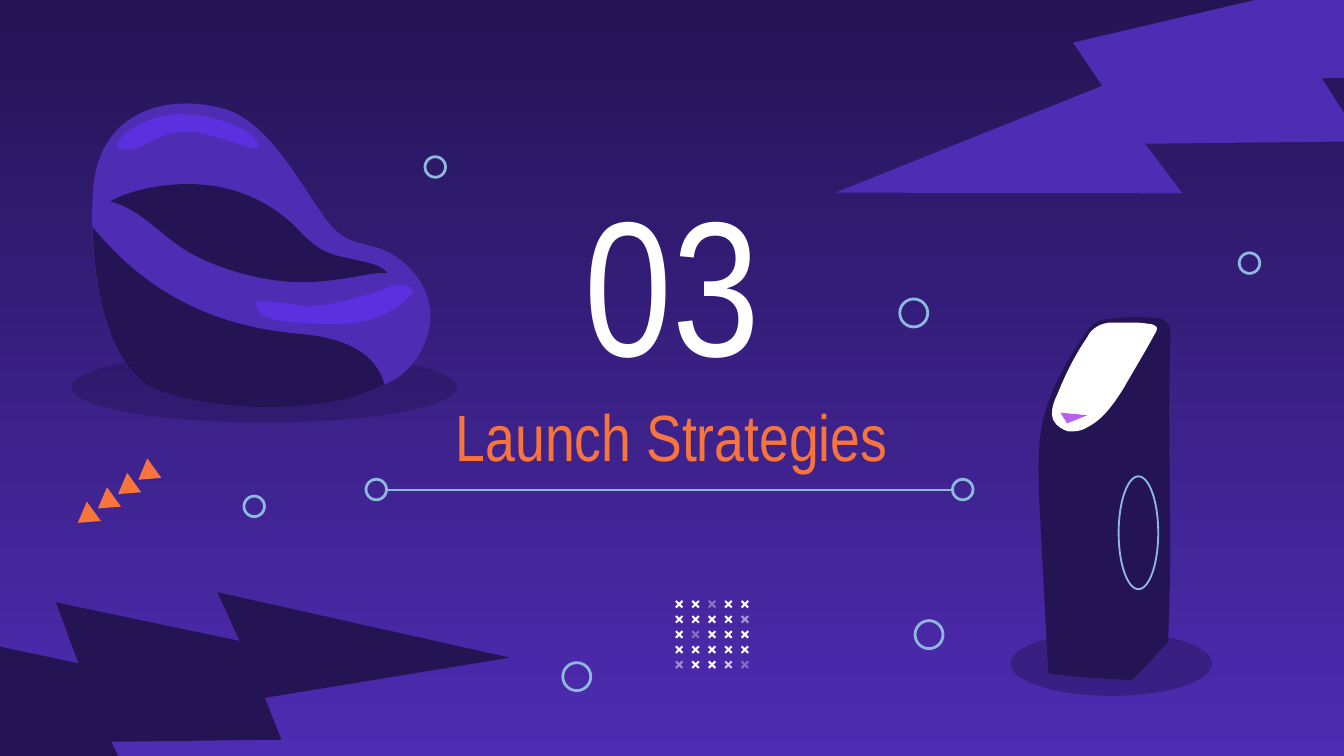
"""Build the "Launch Strategies" section slide."""
import pptx
import pptx.dml.color
import pptx.enum.shapes
import pptx.enum.text
import pptx.oxml
import pptx.oxml.ns
import pptx.util

Pt = pptx.util.Pt
Kind = pptx.enum.shapes.MSO_SHAPE
Anchor = pptx.enum.text.MSO_ANCHOR
qn = pptx.oxml.ns.qn
space = pptx.oxml.ns.nsdecls("a")


class Theme:
    dark, mid, glow = "241454", "4E2CB3", "5C2FDF"
    blue, orange, pink, white = "8EB8DE", "F7743C", "B961EB", "FFFFFF"
    font, large, small = "Arial Narrow", 103, 35
    thin, thick = 1, 1.5


def dress(shape, fill=None, alpha=100, edge=None, width=0, turn=0):
    shape.shadow.inherit = False
    shape.rotation = turn
    if fill:
        shape.fill.solid()
        shape.fill.fore_color.rgb = pptx.dml.color.RGBColor.from_string(fill)
        if alpha < 100:
            tint = shape._element.spPr.find(".//" + qn("a:srgbClr"))
            tint.append(pptx.oxml.parse_xml(f'<a:alpha {space} val="{alpha * 1000}"/>'))
    else:
        shape.fill.background()
    if edge:
        shape.line.color.rgb = pptx.dml.color.RGBColor.from_string(edge)
        shape.line.width = Pt(width)
    else:
        shape.line.fill.background()


def blob(host, fill, nums, unit=0.72):
    """Fill a closed outline given as a start and triples; a triple that repeats its start is straight."""
    knots = [(Pt(unit * x), Pt(unit * y)) for x, y in zip(nums[::2], nums[1::2])]
    pen = host.build_freeform(*knots[0])
    pen.add_line_segments(knots[1:], close=True)
    shape = pen.convert_to_shape()
    legs = list(shape._element.spPr.iter(qn("a:lnTo")))
    for i in range(0, len(legs), 3):
        trio = legs[i:i + 3]
        if knots[i] == knots[i + 1]:
            for leg in trio[:2]:
                leg.getparent().remove(leg)
            continue
        curve = pptx.oxml.parse_xml(f"<a:cubicBezTo {space}/>")
        trio[0].addprevious(curve)
        for leg in trio:
            curve.append(leg[0])
            leg.getparent().remove(leg)
    dress(shape, fill)


deck = pptx.Presentation()
deck.slide_width, deck.slide_height = Pt(720), Pt(405)
slide = deck.slides.add_slide(deck.slide_layouts[6])
art = slide.shapes

back = slide.background.fill
back.gradient()
back.gradient_angle = 270
for stop, hue in zip(back.gradient_stops, (Theme.dark, Theme.mid)):
    stop.color.rgb = pptx.dml.color.RGBColor.from_string(hue)

bolts = [
    (502.6, -101.5, 300.2, 30.1, Theme.mid),
    (-39.6, 230.4, 259.2, 222.6, Theme.dark),
]
for x, y, size, turn, hue in bolts:
    bolt = art.add_shape(Kind.LIGHTNING_BOLT, Pt(x), Pt(y), Pt(size), Pt(size))
    dress(bolt, hue, turn=turn)
    bolt._element.spPr.xfrm.set("flipH", "1")

texts = [
    ("03", (272.5, 105.8, 175, 87.8), Theme.large, Theme.white, Anchor.MIDDLE, 7.2),
    ("Launch Strategies", (192.5, 204.5, 334.8, 141.8), Theme.small, Theme.orange, Anchor.TOP, 7.7),
]
for words, box, size, hue, anchor, top in texts:
    frame = art.add_textbox(*map(Pt, box)).text_frame
    form = {"word_wrap": True, "vertical_anchor": anchor, "margin_top": Pt(top),
            "margin_left": Pt(7.2), "margin_right": Pt(7.2), "margin_bottom": Pt(7.2)}
    for name, value in form.items():
        setattr(frame, name, value)
    line = frame.paragraphs[0]
    line.alignment = pptx.enum.text.PP_ALIGN.CENTER
    run = line.add_run()
    run.text = words
    for name, value in {"name": Theme.font, "size": Pt(size), "bold": False}.items():
        setattr(run.font, name, value)
    run.font.color.rgb = pptx.dml.color.RGBColor.from_string(hue)

chair = [
    (Theme.mid, [139, 77, 149, 77, 159, 79, 167, 81, 202, 92, 224, 139, 244, 165,
                 264, 191, 282, 173, 308, 203, 333, 233, 315, 268, 296, 281,
                 270, 297, 234, 303, 200, 303, 160, 303, 123, 295, 109, 286,
                 83, 270, 66, 217, 69, 146, 71, 93, 107, 77, 139, 77]),
    (Theme.dark, [69, 169, 105, 213, 151, 241, 218, 248, 246, 250, 278, 257, 286, 286,
                  261, 299, 230, 303, 200, 303, 160, 303, 123, 295, 109, 286,
                  86, 271, 70, 228, 69, 169]),
    (Theme.dark, [140, 137, 165, 137, 193, 144, 218, 167, 227, 176, 235, 186, 250, 190,
                  270, 195, 283, 196, 288, 203, 287, 203, 286, 203, 285, 203,
                  275, 203, 251, 210, 225, 210, 197, 210, 165, 201, 143, 189,
                  122, 178, 105, 155, 82, 150, 92, 144, 114, 137, 140, 137]),
    (Theme.glow, [135, 85, 160, 85, 188, 96, 192, 107, 193, 109, 192, 110, 189, 110,
                  181, 110, 156, 98, 138, 98, 137, 98, 136, 98, 135, 98,
                  115, 100, 105, 112, 95, 112, 93, 112, 91, 111, 90, 111,
                  79, 107, 105, 86, 131, 85, 132, 85, 134, 85, 135, 85]),
    (Theme.glow, [298, 212, 306, 212, 311, 216, 302, 223, 290, 233, 277, 241, 247, 241,
                  245, 241, 244, 241, 242, 241, 209, 240, 194, 238, 191, 229,
                  189, 225, 191, 224, 195, 224, 202, 224, 212, 226, 223, 227,
                  225, 228, 226, 228, 228, 228, 245, 228, 275, 219, 286, 215,
                  290, 213, 295, 212, 298, 212]),
]
kiosk = [
    (Theme.dark, [843, 236, 836, 236, 829, 237, 820, 238, 816, 239, 812, 242, 809, 246,
                  794, 268, 780, 291, 775, 318, 772, 334, 773, 350, 773, 367,
                  773, 367, 780, 501, 780, 501, 800, 504, 820, 505, 842, 506,
                  850, 499, 861, 486, 869, 478, 873, 401, 868, 324, 871, 246,
                  871, 242, 867, 238, 863, 237, 856, 236, 849, 236, 843, 236]),
    (Theme.white, [839, 240, 835, 240, 831, 240, 828, 240, 828, 240, 828, 240, 827, 240,
                   820, 240, 812, 244, 809, 251,
                   800, 264, 793, 278, 787, 293, 784, 299, 781, 307, 784, 313,
                   786, 317, 791, 320, 795, 321, 796, 321, 797, 321, 798, 321,
                   802, 321, 806, 320, 809, 318,
                   821, 312, 829, 300, 836, 289, 844, 275, 852, 262, 859, 249,
                   860, 247, 861, 246, 861, 244, 860, 242, 857, 241, 855, 241,
                   850, 240, 844, 240, 839, 240]),
    (Theme.pink, [789, 307, 789, 307, 794, 315, 794, 315, 794, 315, 809, 309, 809, 309,
                  809, 309, 789, 307, 789, 307]),
]
for shade, parts in (((38.2, 188.6, 206.6, 37.8), chair), ((541.4, 338.4, 108, 34.4), kiosk)):
    group = art.add_group_shape().shapes
    dress(group.add_shape(Kind.OVAL, *map(Pt, shade)), Theme.dark, 46)
    for hue, nums in parts:
        blob(group, hue, nums)
door = group.add_shape(Kind.OVAL, Pt(599.3), Pt(255.2), Pt(21.2), Pt(60.5))
dress(door, edge=Theme.blue, width=Theme.thin)

rule = art.add_connector(pptx.enum.shapes.MSO_CONNECTOR.STRAIGHT,
                         Pt(510.5), Pt(262.6), Pt(207.2), Pt(262.6))
rule.line.color.rgb = pptx.dml.color.RGBColor.from_string(Theme.blue)
rule.line.width = Pt(Theme.thin)
rule._element.spPr.append(pptx.oxml.parse_xml(f"<a:effectLst {space}/>"))

rings = [
    (196.1, 256.8, 11), (510.3, 256.8, 11), (227.7, 84, 11), (130.7, 265.8, 11),
    (663.9, 135.5, 11), (482, 160.2, 15), (490.2, 332.5, 15), (301.5, 355, 15),
]
for x, y, size in rings:
    ring = art.add_shape(Kind.OVAL, Pt(x), Pt(y), Pt(size), Pt(size))
    dress(ring, edge=Theme.blue, width=Theme.thick)

for i in range(4):
    peak = art.add_shape(Kind.ISOSCELES_TRIANGLE, Pt(72 - 10.8 * i), Pt(248.6 + 7.7 * i),
                         Pt(12.8), Pt(10.6))
    dress(peak, Theme.orange, turn=234.2)

faint = {(0, 2): 36, (1, 4): 53, (2, 1): 34, (4, 0): 48, (4, 3): 75, (4, 4): 33}
for row in range(5):
    for col in range(5):
        cross = art.add_shape(Kind.CROSS, Pt(361.4 + 8.8 * col), Pt(321.2 + 8.1 * row),
                              Pt(5), Pt(5))
        cross.adjustments[0] = 0.39
        dress(cross, Theme.white, faint.get((row, col), 100), turn=315)

deck.save("out.pptx")
